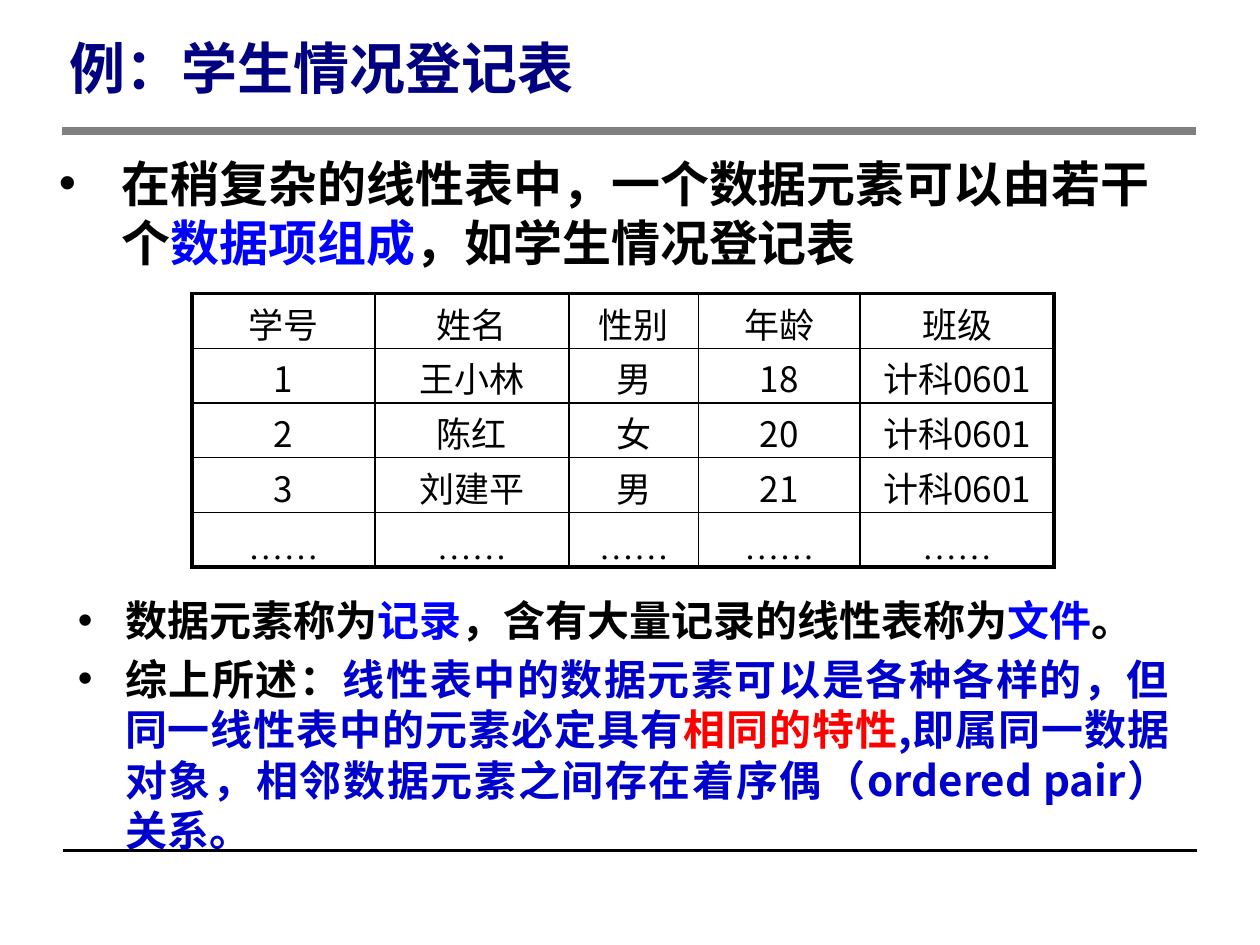
from lxml import etree
from pptx import Presentation
from pptx.dml.color import RGBColor
from pptx.enum import shapes, text
from pptx.oxml import ns
from pptx.util import Pt

BLACK = RGBColor(0x00, 0x00, 0x00)
GRAY = RGBColor(0x80, 0x80, 0x80)
NAVY = RGBColor(0x00, 0x00, 0x80)
BLUE = RGBColor(0x00, 0x00, 0xFF)
DEEP_BLUE = RGBColor(0x00, 0x00, 0xCC)
RED = RGBColor(0xFF, 0x00, 0x00)
FONT = "Noto Sans CJK SC"


def fill_paragraph(paragraph, runs, size, spacing, font=FONT, bold=True, indent=0):
    if indent:
        properties = paragraph._p.get_or_add_pPr()
        properties.set("marL", str(Pt(indent)))
        properties.set("indent", str(-Pt(indent)))
        etree.SubElement(properties, ns.qn("a:buFont"), typeface="Arial")
        etree.SubElement(properties, ns.qn("a:buChar"), char="•")
    paragraph.line_spacing = Pt(spacing)
    paragraph.font.size = Pt(size)
    paragraph.font.name = font
    paragraph.font.bold = bold
    for words, color in runs:
        run = paragraph.add_run()
        run.text = words
        run.font.color.rgb = color
        etree.SubElement(run._r.get_or_add_rPr(), ns.qn("a:ea"), typeface=font)


def add_text(left, top, width, height, margin_top=3.6):
    frame = slide.shapes.add_textbox(Pt(left), Pt(top), Pt(width), Pt(height)).text_frame
    frame.word_wrap = True
    frame.margin_top = Pt(margin_top)
    return frame


presentation = Presentation()
presentation.slide_width, presentation.slide_height = Pt(720), Pt(540)
slide = presentation.slides.add_slide(presentation.slide_layouts[6])

for left, top, color, width in [(36, 486, BLACK, 2), (35.3, 74.9, GRAY, 5)]:
    rule = slide.shapes.add_connector(
        shapes.MSO_CONNECTOR.STRAIGHT, Pt(left), Pt(top), Pt(left + 648), Pt(top))
    rule.line.color.rgb = color
    rule.line.width = Pt(width)
    etree.SubElement(rule._element.spPr, ns.qn("a:effectLst"))

intro = add_text(26.6, 82.1, 639.4, 74.9, 5.6)
fill_paragraph(intro.paragraphs[0], [
    ("在稍复杂的线性表中，一个数据元素可以由若干个", BLACK),
    ("数据项组成", BLUE),
    ("，如学生情况登记表", BLACK),
], 28, 33.6, indent=36)

rows = [
    ["学号", "姓名", "性别", "年龄", "班级"],
    ["1", "王小林", "男", "18", "计科0601"],
    ["2", "陈红", "女", "20", "计科0601"],
    ["3", "刘建平", "男", "21", "计科0601"],
    ["……"] * 5,
]
column_widths = [104.4, 110.9, 74.2, 92.2, 110.9]
row_height = 31.2
last = len(rows) - 1
table = slide.shapes.add_table(
    len(rows), len(column_widths), Pt(109.8), Pt(167.8),
    Pt(sum(column_widths)), Pt(row_height * len(rows))).table
for column, width in zip(table.columns, column_widths):
    column.width = Pt(width)
for r, row in enumerate(rows):
    table.rows[r].height = Pt(row_height)
    for c, words in enumerate(row):
        cell = table.cell(r, c)
        cell.margin_top, cell.margin_bottom = Pt(7.2), 0
        paragraph = cell.text_frame.paragraphs[0]
        paragraph.alignment = text.PP_ALIGN.CENTER
        font = "Times New Roman" if r == last else FONT
        fill_paragraph(paragraph, [(words, BLACK)], 20, 24, font, bold=False)
        properties = cell._tc.get_or_add_tcPr()
        edges = [("L", c == 0), ("R", c == last), ("T", r == 0), ("B", r == last)]
        for side, outer in edges:
            border = etree.SubElement(
                properties, ns.qn(f"a:ln{side}"), w=str(Pt(2.25 if outer else 1)))
            solid = etree.SubElement(border, ns.qn("a:solidFill"))
            etree.SubElement(solid, ns.qn("a:srgbClr"), val=str(BLACK))
        cell.fill.background()

summary = add_text(37.4, 334.1, 637.9, 129.6, 5.6)
points = [
    [("数据元素称为", BLACK), ("记录", BLUE), ("，含有大量记录的线性表称为", BLACK),
     ("文件", BLUE), ("。", BLACK)],
    [("综上所述：", BLACK),
     ("线性表中的数据元素可以是各种各样的，但同一线性表中的元素必定具有", DEEP_BLUE),
     ("相同的特性", RED),
     (",即属同一数据对象，相邻数据元素之间存在着序偶（ordered pair）关系。", DEEP_BLUE)],
]
for index, runs in enumerate(points):
    paragraph = summary.add_paragraph() if index else summary.paragraphs[0]
    fill_paragraph(paragraph, runs, 24, 28.8, indent=27)
    paragraph.alignment = text.PP_ALIGN.JUSTIFY
    if index:
        paragraph.space_before = Pt(4.8)

title = add_text(32.4, 13, 601.9, 49)
title.vertical_anchor = text.MSO_ANCHOR.MIDDLE
fill_paragraph(title.paragraphs[0], [("例：学生情况登记表", NAVY)], 32, 40)

presentation.save("out.pptx")
